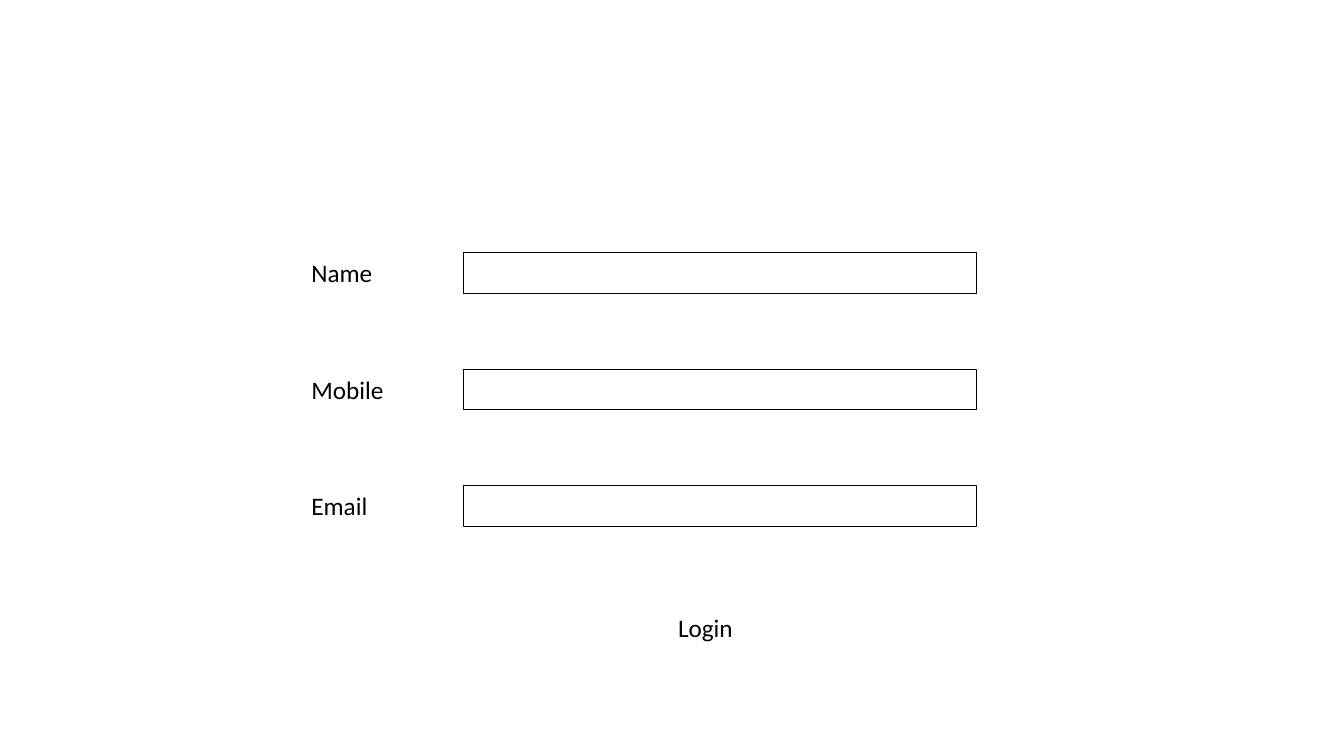
from pptx import Presentation
from pptx.dml.color import RGBColor
from pptx.enum.shapes import MSO_SHAPE
from pptx.enum.text import MSO_AUTO_SIZE
from pptx.util import Pt

COLOURS = {"ink": "000000"}
ROW_TOP, ROW_STEP, ROW_HEIGHT = 180.6, 83.2, 29.08


class FormPage:
    """Hold the form's style and the slide it is drawn on."""

    def __init__(self, page):
        """Set the page, font and colour."""
        self.page = page
        self.font = "Calibri"
        self.size = Pt(18)
        self.ink = RGBColor.from_string(COLOURS["ink"])

    def label(self, text, left, top):
        """Add a text label."""
        box = self.page.shapes.add_textbox(Pt(left), Pt(top), Pt(95), Pt(ROW_HEIGHT))
        frame = box.text_frame
        frame.word_wrap = True
        frame.auto_size = MSO_AUTO_SIZE.SHAPE_TO_FIT_TEXT
        para = frame.paragraphs[0]
        para.text = text
        para.font.name = self.font
        para.font.size = self.size
        para.font.color.rgb = self.ink

    def field(self, left, top):
        """Add an empty outlined input field."""
        box = self.page.shapes.add_shape(
            MSO_SHAPE.RECTANGLE, Pt(left), Pt(top), Pt(366.6), Pt(ROW_HEIGHT))
        box.shadow.inherit = False
        box.fill.background()
        box.line.color.rgb = self.ink
        box.line.width = Pt(0.75)


def main():
    """Build the login form and save it."""
    deck = Presentation()
    deck.slide_width, deck.slide_height = Pt(960), Pt(540)
    form = FormPage(deck.slides.add_slide(deck.slide_layouts[6]))
    for row, name in enumerate(("Name", "Mobile", "Email")):
        top = ROW_TOP + row * ROW_STEP
        form.field(331, top)
        form.label(name, 215.3, top)
    form.label("Login", 477.2, 434)
    deck.save("out.pptx")


if __name__ == "__main__":
    main()
